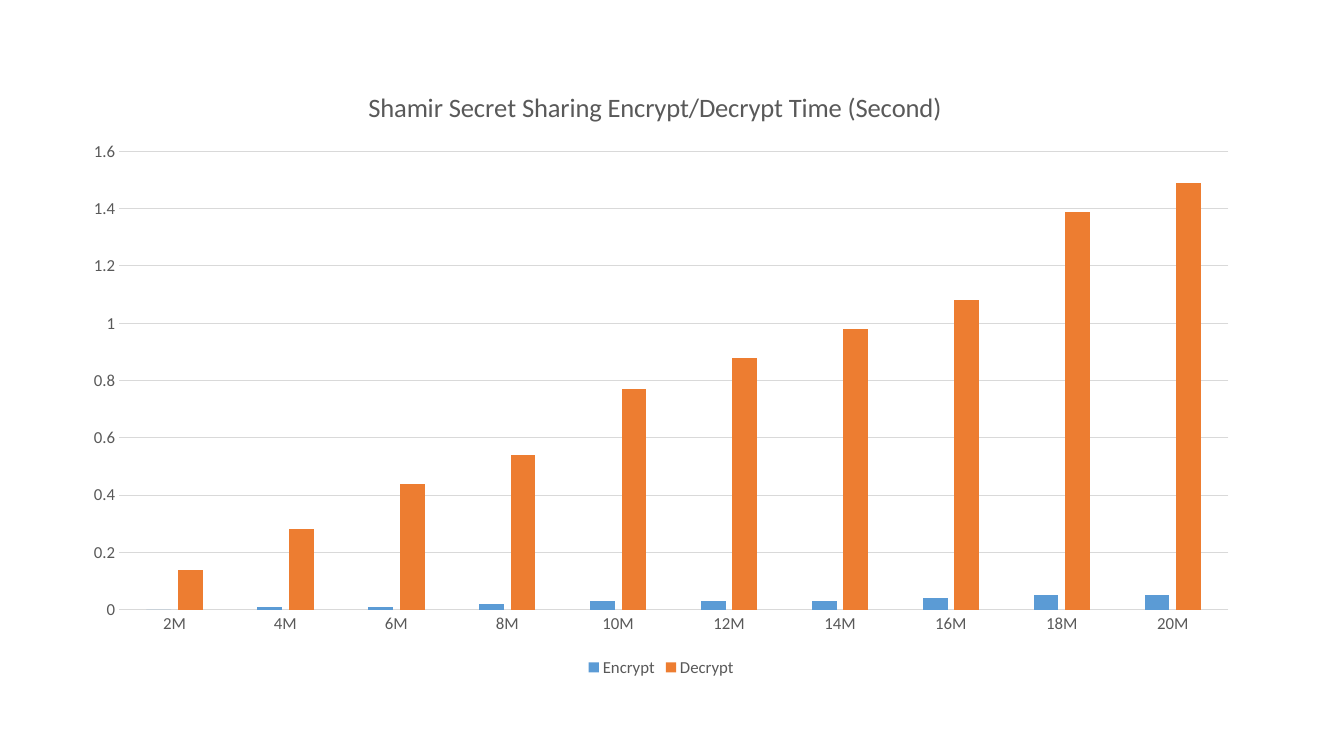
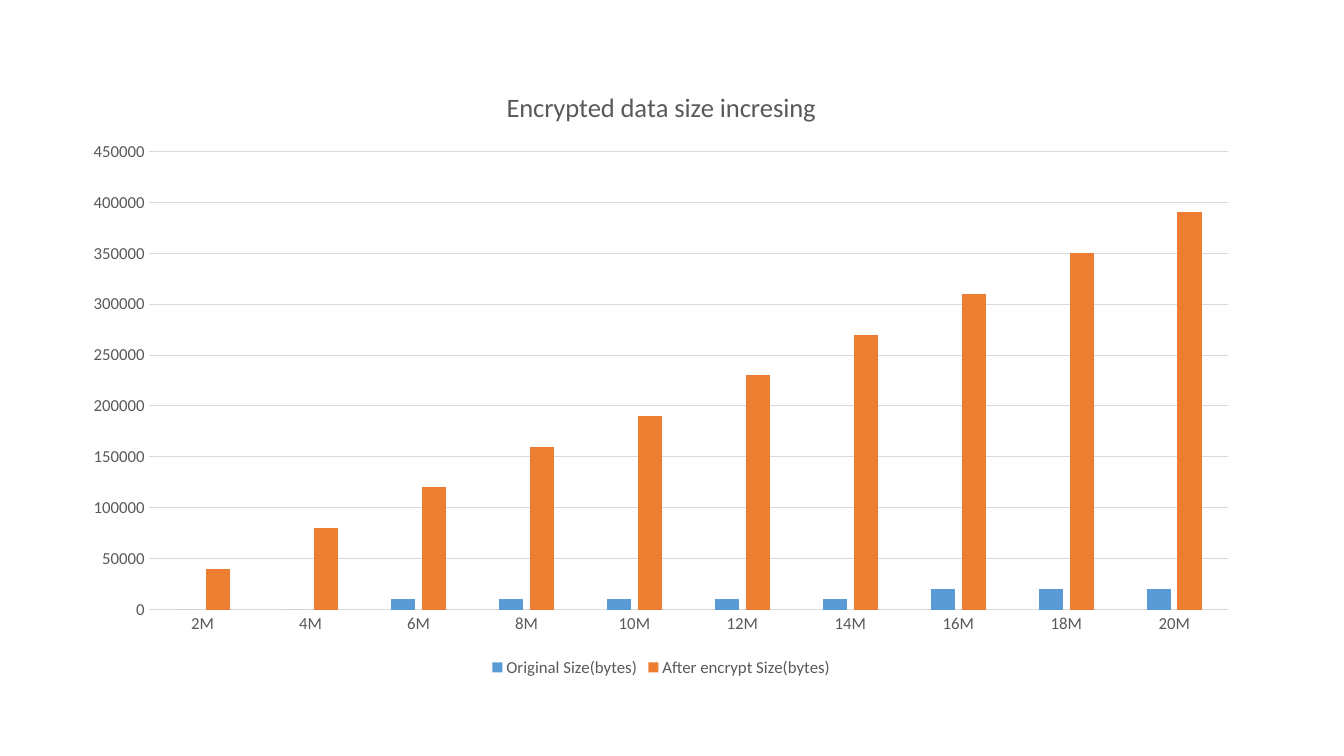
from dataclasses import dataclass

from lxml import etree
from pptx import Presentation
from pptx import util as u
from pptx.chart import data as chart_data
from pptx.dml import color
from pptx.enum import chart as ch
from pptx.oxml import ns


@dataclass(frozen=True)
class Theme:
    """Colours, typeface and type sizes shared by the slides."""
    font: str = "Calibri"
    text: str = "595959"
    rule: str = "D9D9D9"
    series: tuple = ("5B9BD5", "ED7D31")
    title_size: int = 19
    label_size: int = 12


THEME = Theme()
CHART_BOX = tuple(u.Cm(length) for length in (1.78, 1.75, 29.77, 15.42))
FILE_SIZES = range(2, 21, 2)


def style_font(font, size):
    """Apply the theme typeface and text colour at a size in points."""
    font.name = THEME.font
    font.size = u.Pt(size)
    font.bold = False
    font.color.rgb = color.RGBColor.from_string(THEME.text)


def style_line(line):
    """Draw a thin rule in the theme colour."""
    line.color.rgb = color.RGBColor.from_string(THEME.rule)
    line.width = u.Pt(0.75)


def set_layout(parent, index, target=None, **fractions):
    """Place a chart part by fractions of the chart's size."""
    for previous in parent.findall(ns.qn("c:layout")):
        parent.remove(previous)
    layout = etree.Element(ns.qn("c:layout"))
    manual = etree.SubElement(layout, ns.qn("c:manualLayout"))
    settings = {"layoutTarget": target} if target else {}
    settings.update(xMode="edge", yMode="edge", **fractions)
    for name, value in settings.items():
        etree.SubElement(manual, ns.qn(f"c:{name}")).set("val", str(value))
    parent.insert(index, layout)


def style_title(chart, title, left):
    """Write the chart title and place its left edge."""
    frame = chart.chart_title.text_frame
    frame.text = title
    style_font(frame.paragraphs[0].runs[0].font, THEME.title_size)
    set_layout(chart.chart_title.element, 1, x=left, y=0.024)


def style_axes(chart, maximum, step):
    """Format both axes, the gridlines and the value scale."""
    for axis in (chart.category_axis, chart.value_axis):
        axis.major_tick_mark = axis.minor_tick_mark = ch.XL_TICK_MARK.NONE
        style_font(axis.tick_labels.font, THEME.label_size)
    style_line(chart.category_axis.format.line)
    values = chart.value_axis
    values.format.line.fill.background()
    values.minimum_scale, values.maximum_scale = 0, maximum
    values.major_unit = step
    values.has_major_gridlines = True
    style_line(values.major_gridlines.format.line)


def add_column_slide(presentation, box, title, title_left, plot_left,
                     maximum, step, series):
    """Add a slide with one clustered column chart in the given box."""
    slide = presentation.slides.add_slide(presentation.slide_layouts[6])
    data = chart_data.CategoryChartData()
    data.categories = [f"{size}M" for size in FILE_SIZES]
    for name, values in series.items():
        data.add_series(name, values)
    chart = slide.shapes.add_chart(
        ch.XL_CHART_TYPE.COLUMN_CLUSTERED, *box, data).chart
    style_font(chart.font, THEME.label_size)
    style_title(chart, title, title_left)
    style_axes(chart, maximum, step)

    plot = chart.plots[0]
    plot.gap_width, plot.overlap = 219, -27
    plot.vary_by_categories = False
    for column, fill in zip(plot.series, THEME.series):
        column.format.fill.solid()
        column.format.fill.fore_color.rgb = color.RGBColor.from_string(fill)

    chart.has_legend = True
    chart.legend.position = ch.XL_LEGEND_POSITION.BOTTOM
    chart.legend.include_in_layout = False
    style_font(chart.legend.font, THEME.label_size)
    plot_area = chart.element.find(".//" + ns.qn("c:plotArea"))
    set_layout(plot_area, 0, "inner", x=plot_left, y=0.134,
               w=round(0.98 - plot_left, 3), h=0.749)


def main():
    """Build and save the presentation."""
    presentation = Presentation()
    presentation.slide_width = u.Cm(33.87)
    presentation.slide_height = u.Cm(19.05)
    add_column_slide(
        presentation, CHART_BOX,
        "Shamir Secret Sharing Encrypt/Decrypt Time (Second)",
        0.248, 0.041, 1.6, 0.2,
        {"Encrypt": (0, 0.01, 0.01, 0.02, 0.03,
                     0.03, 0.03, 0.04, 0.05, 0.05),
         "Decrypt": (0.14, 0.28, 0.44, 0.54, 0.77,
                     0.88, 0.98, 1.08, 1.39, 1.49)})
    add_column_slide(
        presentation, CHART_BOX, "Encrypted data size incresing",
        0.365, 0.066, 450000, 50000,
        {"Original Size(bytes)": (0, 0, 10000, 10000, 10000,
                                  10000, 10000, 20000, 20000, 20000),
         "After encrypt Size(bytes)": (40000, 80000, 120000, 160000, 190000,
                                       230000, 270000, 310000, 350000,
                                       390000)})
    presentation.save("out.pptx")


main()
